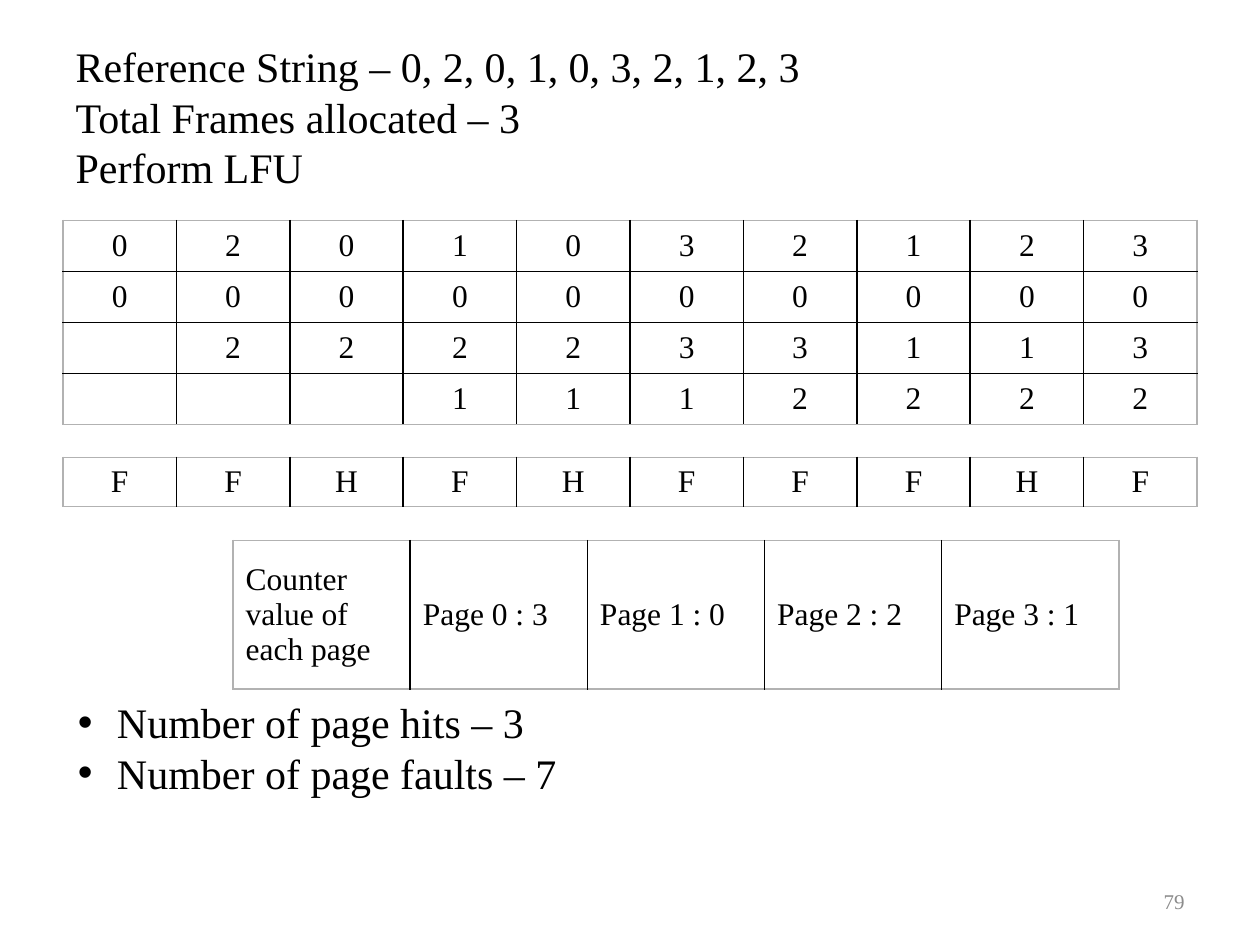
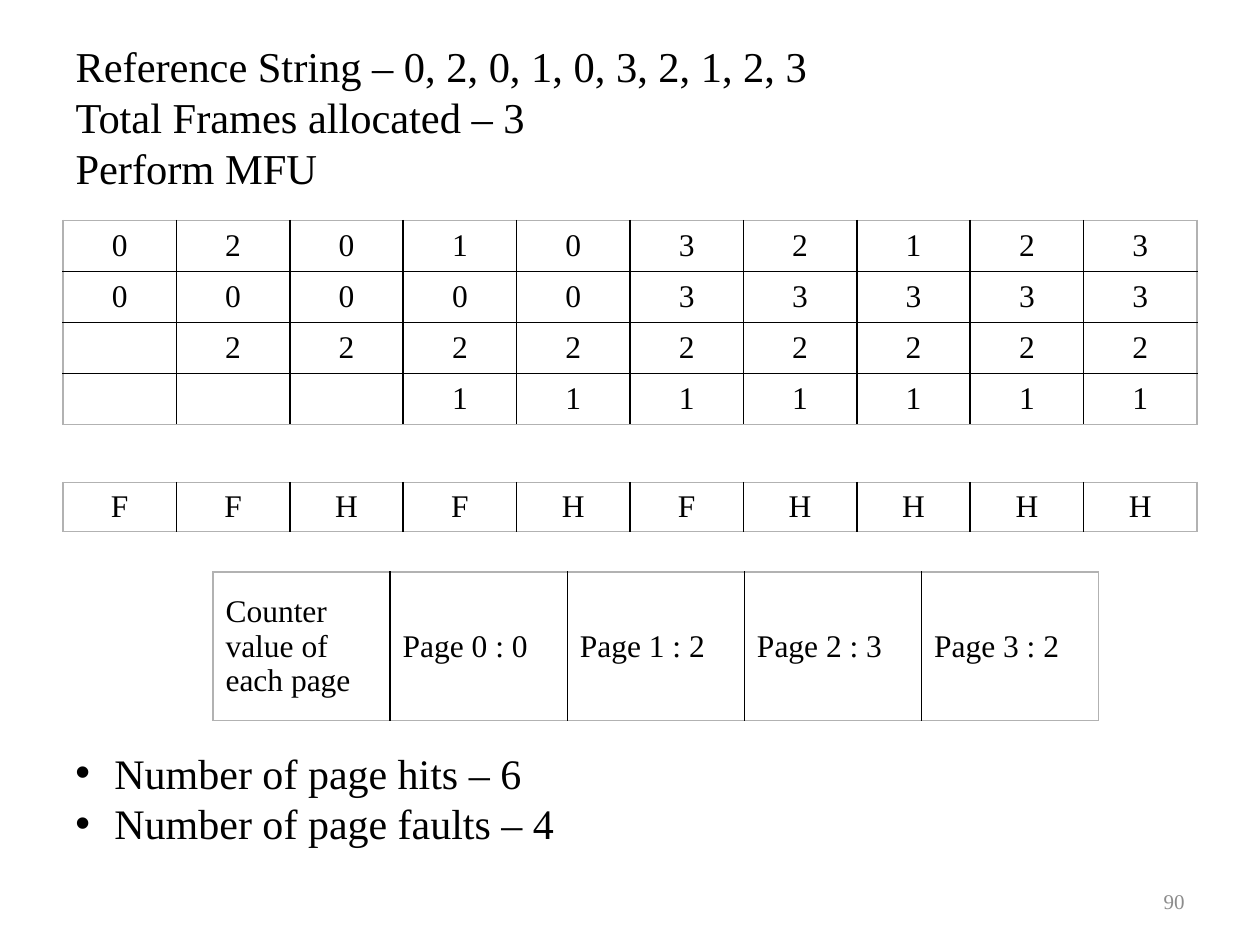
from lxml.etree import SubElement
from pptx import Presentation
from pptx.dml.color import RGBColor
from pptx.enum.text import MSO_ANCHOR, MSO_AUTO_SIZE, PP_ALIGN
from pptx.oxml.ns import qn
from pptx.util import Inches, Pt

FONT = "Times New Roman"
BLACK = RGBColor(0x00, 0x00, 0x00)
GRAY = RGBColor(0x8C, 0x8C, 0x8C)
EDGE = RGBColor(0xB2, 0xB2, 0xB2)
REFERENCE = "0201032123"
TITLE_ONLY = 5


class Deck:
    def __init__(self):
        self.deck = Presentation()
        self.deck.slide_width = Inches(10)
        self.deck.slide_height = Inches(7.5)
        self.page = None

    def style(self, paragraph, size, color=BLACK, align=PP_ALIGN.LEFT):
        paragraph.alignment = align
        paragraph.font.name = FONT
        paragraph.font.size = Pt(size)
        paragraph.font.color.rgb = color

    def add_page(self, title, size):
        self.page = self.deck.slides.add_slide(self.deck.slide_layouts[TITLE_ONLY])
        box = self.page.shapes.title
        box.left, box.top = Inches(0.5), Inches(0.3)
        box.width, box.height = Inches(9), Inches(1.25)
        frame = box.text_frame
        frame.word_wrap = True
        frame.auto_size = MSO_AUTO_SIZE.NONE
        frame.vertical_anchor = MSO_ANCHOR.MIDDLE
        frame.text = ""
        frame.paragraphs[0].text = title
        self.style(frame.paragraphs[0], size)

    def add_text(self, left, top, width, height):
        box = self.page.shapes.add_textbox(
            Inches(left), Inches(top), Inches(width), Inches(height))
        box.text_frame.word_wrap = True
        return box.text_frame

    def add_bullets(self, left, top, lines):
        frame = self.add_text(left, top, 8.37, 0.91)
        frame.auto_size = MSO_AUTO_SIZE.SHAPE_TO_FIT_TEXT
        for index, line in enumerate(lines):
            paragraph = frame.add_paragraph() if index else frame.paragraphs[0]
            paragraph.text = line
            properties = paragraph._p.get_or_add_pPr()
            properties.set("marL", str(Inches(0.31)))
            properties.set("indent", str(-Inches(0.31)))
            SubElement(properties, qn("a:buFont"), typeface="Arial")
            SubElement(properties, qn("a:buChar"), char="•")
            self.style(paragraph, 24)

    def add_number(self, number):
        frame = self.add_text(7.17, 6.95, 2.33, 0.4)
        frame.vertical_anchor = MSO_ANCHOR.MIDDLE
        paragraph = frame.paragraphs[0]
        paragraph.text = str(number)
        self.style(paragraph, 12, GRAY, PP_ALIGN.RIGHT)

    def add_borders(self, cell, outer):
        properties = cell._tc.get_or_add_tcPr()
        for side, is_outer in outer.items():
            line = SubElement(properties, qn(f"a:ln{side}"), w=str(Pt(1)))
            fill = SubElement(line, qn("a:solidFill"))
            SubElement(fill, qn("a:srgbClr"), val=str(EDGE if is_outer else BLACK))

    def add_table(self, left, top, width, height, rows, align=PP_ALIGN.CENTER):
        row_count, column_count = len(rows), len(rows[0])
        table = self.page.shapes.add_table(
            row_count, column_count,
            Inches(left), Inches(top), Inches(width), Inches(height)).table
        table.first_row = False
        table.horz_banding = False
        for row, values in enumerate(rows):
            for column, value in enumerate(values):
                cell = table.cell(row, column)
                cell.vertical_anchor = MSO_ANCHOR.MIDDLE
                self.add_borders(cell, {
                    "L": column == 0, "R": column == column_count - 1,
                    "T": row == 0, "B": row == row_count - 1})
                cell.fill.background()
                paragraph = cell.text_frame.paragraphs[0]
                paragraph.text = value.strip()
                self.style(paragraph, 18, BLACK, align)

    def add_replacement(self, policy, title_size, frames, results, results_top,
                        counters, counters_at, bullets_at, number):
        self.add_page(
            f"Reference String – {', '.join(REFERENCE)}\v"
            f"Total Frames allocated – 3\vPerform {policy}", title_size)
        self.add_table(0.5, 1.75, 9, 1.62, [REFERENCE, *frames])
        self.add_table(0.5, results_top, 9, 0.39, [results])
        counts = [f"Page {name} : {count}" for name, count in enumerate(counters)]
        self.add_table(*counters_at, 7.03, 1.18,
                       [["Counter value of each page", *counts]], PP_ALIGN.LEFT)
        self.add_bullets(*bullets_at, [
            f"Number of page hits – {results.count('H')}",
            f"Number of page faults – {results.count('F')}"])
        self.add_number(number)


def main():
    deck = Deck()
    deck.add_replacement(
        "LFU", 24, ["0000000000", " 222233113", "   1112222"],
        "FFHFHFFFHF", 3.63, [3, 0, 2, 1], (1.85, 4.29), (0.52, 5.48), 79)
    deck.add_replacement(
        "MFU", 24.3, ["0000033333", " 222222222", "   1111111"],
        "FFHFHFHHHH", 3.83, [0, 2, 3, 2], (1.69, 4.54), (0.5, 5.88), 90)
    deck.deck.save("out.pptx")


if __name__ == "__main__":
    main()
